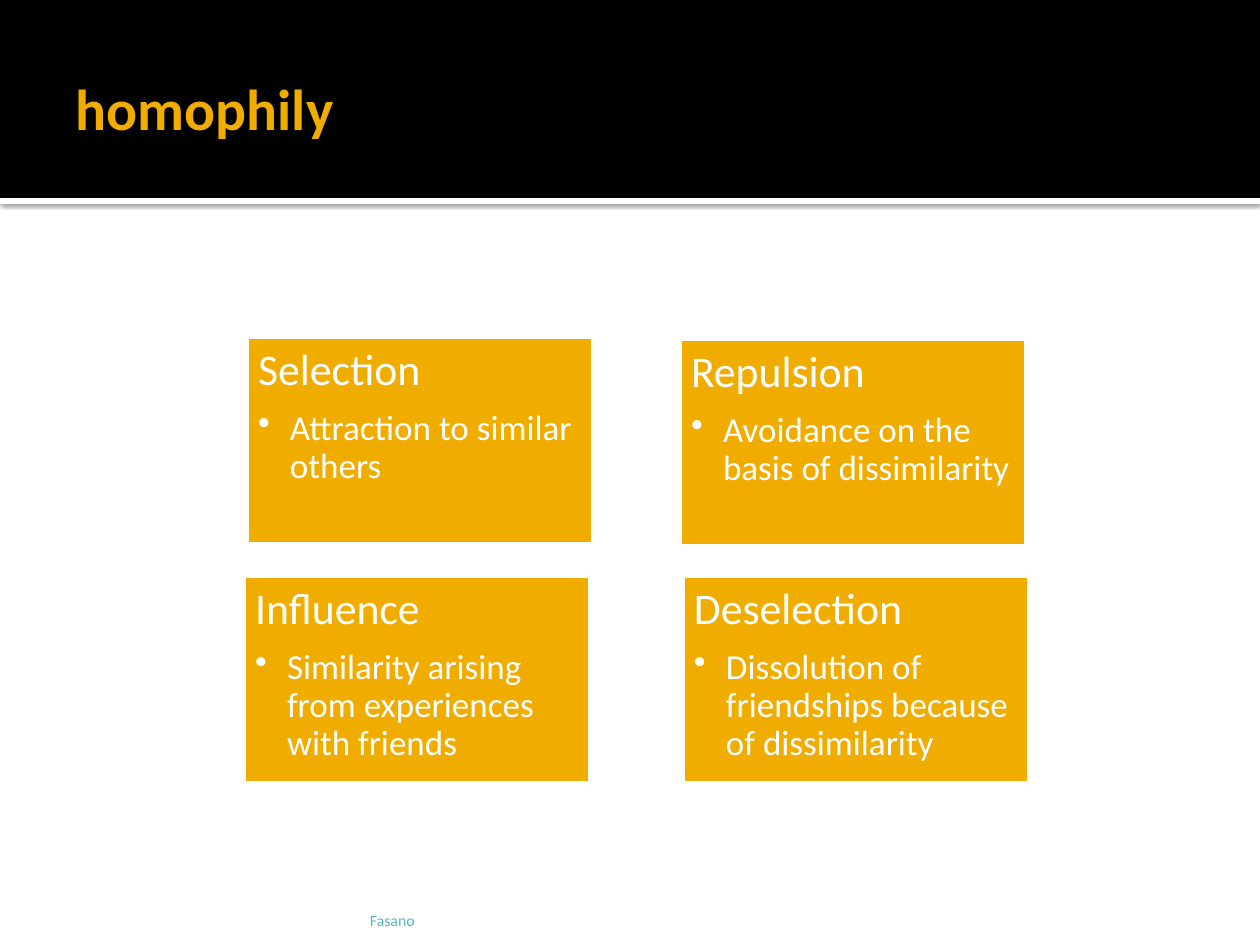
from lxml import etree
from pptx import Presentation
from pptx import util as u
from pptx.dml.color import RGBColor
from pptx.enum import shapes, text
from pptx.oxml import parse_xml
from pptx.oxml.ns import qn

EMU_PER_PX = 914400 / 126
FONT = "Calibri"
COLORS = {"gold": "F0AD00", "teal": "58B6C0", "black": "000000", "white": "FFFFFF"}
CARD_SIZE = (348, 209)
CARDS = [
    ((246, 336), "Selection", "Attraction to similar others"),
    ((679, 338), "Repulsion", "Avoidance on the basis of dissimilarity"),
    ((243, 575), "Influence", "Similarity arising from experiences with friends"),
    ((682, 575), "Deselection", "Dissolution of friendships because of dissimilarity"),
]
STRIP_SHADOW = (
    '<a:effectLst xmlns:a="http://schemas.openxmlformats.org/drawingml/2006/main">'
    '<a:outerShdw blurRad="31750" dist="10160" dir="5400000" rotWithShape="0">'
    '<a:srgbClr val="000000"><a:alpha val="60000"/></a:srgbClr>'
    "</a:outerShdw></a:effectLst>"
)


def px(length):
    """Turn px into EMU."""
    return u.Emu(round(length * EMU_PER_PX))


def color(name):
    """Look up a colour of the palette."""
    return RGBColor.from_string(COLORS[name])


def add_rect(slide, box, fill):
    """Add a flat rectangle without outline."""
    rect = slide.shapes.add_shape(shapes.MSO_SHAPE.RECTANGLE, *map(px, box))
    rect.shadow.inherit = False
    rect.fill.solid()
    rect.fill.fore_color.rgb = color(fill)
    rect.line.fill.background()
    return rect


def set_frame(frame, anchor, insets):
    """Set wrapping, anchor and the left, top, right and bottom insets."""
    frame.word_wrap = True
    frame.auto_size = text.MSO_AUTO_SIZE.NONE
    frame.vertical_anchor = anchor
    (frame.margin_left, frame.margin_top,
     frame.margin_right, frame.margin_bottom) = map(px, insets)


def add_run(paragraph, wording, size, ink, bold=False):
    """Add one left-aligned run."""
    paragraph.alignment = text.PP_ALIGN.LEFT
    run = paragraph.add_run()
    run.text = wording
    run.font.name = FONT
    run.font.size = u.Pt(size)
    run.font.bold = bold
    run.font.color.rgb = color(ink)


def add_header(slide, box, heading):
    """Draw the title band with its shadowed strip, and place the title on it."""
    left, top, width, height = box
    strip = add_rect(slide, (left, top + height, width, 6), "white")
    properties = strip.element.spPr
    properties.replace(properties.find(qn("a:effectLst")), parse_xml(STRIP_SHADOW))
    add_rect(slide, box, "black")
    title = slide.shapes.title
    slide.shapes.element.append(title.element)
    title.left, title.top = px(left + 63), px(top + 21)
    title.width, title.height = px(width - 126), px(height - 25)
    set_frame(title.text_frame, text.MSO_ANCHOR.MIDDLE, (13, 6, 6, 6))
    add_run(title.text_frame.paragraphs[0], heading, 33, "gold", bold=True)


def add_card(slide, box, heading, detail):
    """Add a gold card with a heading and one bullet."""
    card = add_rect(slide, box, "gold")
    card.line.color.rgb = color("white")
    card.line.width = u.Pt(3.78)
    frame = card.text_frame
    set_frame(frame, text.MSO_ANCHOR.TOP, (12, 12, 12, 12))
    name = frame.paragraphs[0]
    bullet = frame.add_paragraph()
    bullet.level = 1
    bullet_properties = bullet._p.get_or_add_pPr()
    bullet_properties.set("marL", str(px(32)))
    bullet_properties.set("indent", str(px(-32)))
    etree.SubElement(bullet_properties, qn("a:buChar")).set("char", "•")
    for paragraph, wording, size, after in ((name, heading, 25, 8.75), (bullet, detail, 20, 3)):
        paragraph.line_spacing = 0.9
        paragraph.space_after = u.Pt(after)
        add_run(paragraph, wording, size, "white")


def add_footer(slide, box, wording):
    """Add the footer line."""
    frame = slide.shapes.add_textbox(*map(px, box)).text_frame
    set_frame(frame, text.MSO_ANCHOR.BOTTOM, (6, 6, 6, 0))
    add_run(frame.paragraphs[0], wording, 9, "teal")


def main():
    """Build and save the slide."""
    deck = Presentation()
    deck.slide_width, deck.slide_height = px(1260), px(945)
    slide = deck.slides.add_slide(deck.slide_layouts[5])
    add_header(slide, (0, 0, 1260, 198), "homophily")
    add_footer(slide, (364, 892, 759, 38), "Fasano")
    for corner, heading, detail in CARDS:
        add_card(slide, corner + CARD_SIZE, heading, detail)
    deck.save("out.pptx")


if __name__ == "__main__":
    main()
